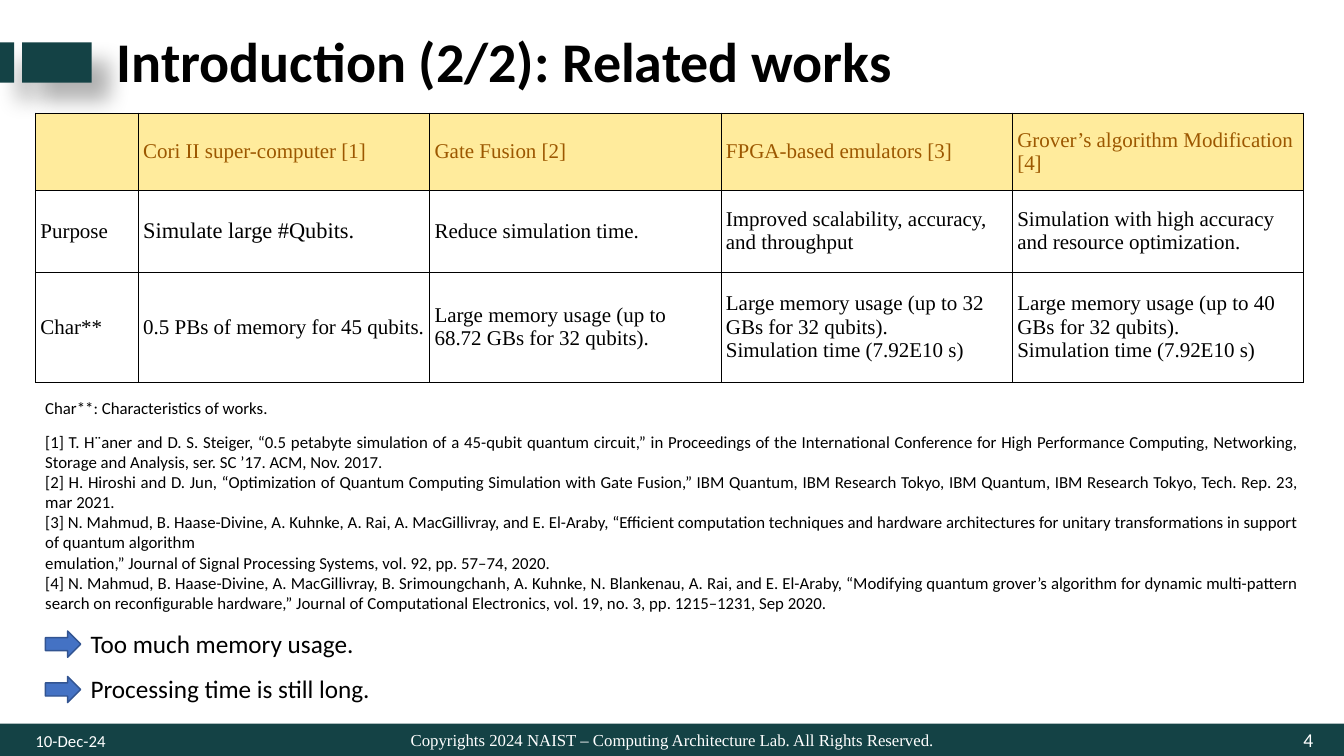
from dataclasses import dataclass, field

from lxml import etree
from pptx import Presentation
from pptx import util as u
from pptx.dml.color import RGBColor
from pptx.enum import shapes, text
from pptx.oxml.ns import qn

W, H = 13.33, 7.5
TEAL, BLUE, NAVY = "144245", "4472C4", "325491"
GOLD, BROWN, BLACK, WHITE = "FFEB9C", "9C5700", "000000", "FFFFFF"
SANS, SERIF = "Calibri", "Times New Roman"
LEFT, CENTER, JUSTIFY = text.PP_ALIGN.LEFT, text.PP_ALIGN.CENTER, text.PP_ALIGN.JUSTIFY
TOP, MIDDLE = text.MSO_ANCHOR.TOP, text.MSO_ANCHOR.MIDDLE
RECT, ARROW = shapes.MSO_SHAPE.RECTANGLE, shapes.MSO_SHAPE.RIGHT_ARROW


@dataclass(frozen=True)
class Box:
    """Left, top, width and height in percent of the slide."""
    x: float
    y: float
    w: float
    h: float

    def emu(self) -> tuple:
        return across(self.x), down(self.y), across(self.w), down(self.h)


@dataclass(frozen=True)
class Label:
    box: Box
    lines: list
    size: float
    color: str = BLACK
    face: str = SANS
    align: int = LEFT
    anchor: int = TOP
    bold: bool = False
    para: dict = field(default_factory=dict)


@dataclass(frozen=True)
class Block:
    box: Box
    fill: str
    kind: int = RECT
    outline: str = ""
    shadow: bool = False


def across(share: float) -> int:
    return u.Inches(W * share / 100)


def down(share: float) -> int:
    return u.Inches(H * share / 100)


def rgb(value: str) -> RGBColor:
    return RGBColor.from_string(value)


def apply(target, values: dict) -> None:
    for name, value in values.items():
        setattr(target, name, value)


def style_text(tf, size: float, color: str, face: str, **para) -> None:
    for p in tf.paragraphs:
        apply(p, para)
        for r in p.runs:
            apply(r.font, {"size": u.Pt(size), "name": face})
            r.font.color.rgb = rgb(color)


def add_label(s, label: Label):
    sp = s.shapes.add_textbox(*label.box.emu())
    tf = sp.text_frame
    apply(tf, {"word_wrap": True, "vertical_anchor": label.anchor, "text": "\n".join(label.lines)})
    style_text(tf, label.size, label.color, label.face, alignment=label.align, **label.para)
    for p in tf.paragraphs:
        for r in p.runs:
            r.font.bold = label.bold
    return sp


def add_shadow(sp) -> None:
    effects = sp.element.spPr.find(qn("a:effectLst"))
    shadow = etree.SubElement(effects, qn("a:outerShdw"), blurRad=str(u.Pt(15)),
                              dist=str(u.Pt(18)), dir=str(45 * 60000), rotWithShape="0")
    color = etree.SubElement(shadow, qn("a:srgbClr"), val=BLACK)
    etree.SubElement(color, qn("a:alpha"), val="30000")


def add_block(s, block: Block):
    sp = s.shapes.add_shape(block.kind, *block.box.emu())
    sp.shadow.inherit = False
    sp.fill.solid()
    sp.fill.fore_color.rgb = rgb(block.fill)
    if block.outline:
        sp.line.color.rgb = rgb(block.outline)
        sp.line.width = u.Pt(1)
    else:
        sp.line.fill.background()
    if block.shadow:
        add_shadow(sp)
    return sp


def add_borders(cell) -> None:
    props = cell._tc.get_or_add_tcPr()
    for i, side in enumerate(("lnL", "lnR", "lnT", "lnB")):
        ln = etree.Element(qn(f"a:{side}"), w=str(u.Pt(0.5)))
        fill = etree.SubElement(ln, qn("a:solidFill"))
        etree.SubElement(fill, qn("a:srgbClr"), val=BLACK)
        props.insert(i, ln)


def add_works_table(s, box: Box, cols: list, rows: list, works: list) -> None:
    table = s.shapes.add_table(len(rows), len(cols), *box.emu()).table
    apply(table, {"first_row": False, "horz_banding": False})
    for column, share in zip(table.columns, cols):
        column.width = across(share)
    for row, share in zip(table.rows, rows):
        row.height = down(share)
    margins = dict.fromkeys(("margin_left", "margin_right", "margin_top", "margin_bottom"),
                            u.Inches(0.05))
    for i, line in enumerate(works):
        for j, words in enumerate(line):
            cell = table.cell(i, j)
            apply(cell, {"text": words, "vertical_anchor": MIDDLE, **margins})
            cell.fill.solid()
            cell.fill.fore_color.rgb = rgb(WHITE if i else GOLD)
            size = 16 if (i, j) == (1, 1) else 15
            style_text(cell.text_frame, size, BLACK if i else BROWN, SERIF)
            add_borders(cell)


WORKS = [
    ["", "Cori II super-computer [1]", "Gate Fusion [2]", "FPGA-based emulators [3]",
     "Grover’s algorithm Modification [4]"],
    ["Purpose", "Simulate large #Qubits.", "Reduce simulation time.",
     "Improved scalability, accuracy, and throughput",
     "Simulation with high accuracy and resource optimization."],
    ["Char**", "0.5 PBs of memory for 45 qubits.",
     "Large memory usage (up to 68.72 GBs for 32 qubits).",
     "Large memory usage (up to 32 GBs for 32 qubits).\nSimulation time (7.92E10 s)",
     "Large memory usage (up to 40 GBs for 32 qubits).\nSimulation time (7.92E10 s)"],
]
REFERENCES = [
    "[1] T. H¨aner and D. S. Steiger, “0.5 petabyte simulation of a 45-qubit quantum circuit,” in "
    "Proceedings of the International Conference for High Performance Computing, Networking, "
    "Storage and Analysis, ser. SC ’17. ACM, Nov. 2017.",
    "[2] H. Hiroshi and D. Jun, “Optimization of Quantum Computing Simulation with Gate Fusion,” "
    "IBM Quantum, IBM Research Tokyo, IBM Quantum, IBM Research Tokyo, Tech. Rep. 23, mar 2021.",
    "[3] N. Mahmud, B. Haase-Divine, A. Kuhnke, A. Rai, A. MacGillivray, and E. El-Araby, "
    "“Efficient computation techniques and hardware architectures for unitary transformations "
    "in support of quantum algorithm",
    "emulation,” Journal of Signal Processing Systems, vol. 92, pp. 57–74, 2020.",
    "[4] N. Mahmud, B. Haase-Divine, A. MacGillivray, B. Srimoungchanh, A. Kuhnke, N. Blankenau, "
    "A. Rai, and E. El-Araby, “Modifying quantum grover’s algorithm for dynamic multi-pattern "
    "search on reconfigurable hardware,” Journal of Computational Electronics, vol. 19, no. 3, "
    "pp. 1215–1231, Sep 2020.",
]
TAKEAWAYS = ["Too much memory usage.", "Processing time is still long."]
BLOCKS = [
    Block(Box(0, 95.73, 100, 4.27), TEAL),
    Block(Box(0, 5.6, 1.05, 5.33), TEAL, shadow=True),
    Block(Box(1.65, 5.6, 5.18, 5.33), TEAL, shadow=True),
]
LABELS = [
    Label(Box(28.66, 95.2, 42.76, 5.33),
          ["Copyrights 2024 NAIST – Computing Architecture Lab. All Rights Reserved."],
          12, WHITE, SERIF, CENTER, MIDDLE),
    Label(Box(7.95, 2.13, 87.1, 12.8), ["Introduction (2/2): Related works"], 40,
          anchor=MIDDLE, bold=True, para={"line_spacing": 0.9}),
    Label(Box(95.95, 95.73, 2.78, 4.27), ["4"], 14, WHITE, SANS, CENTER, MIDDLE),
    Label(Box(0, 96, 10.5, 3.87), ["10-Dec-24"], 12, WHITE, SANS, CENTER, MIDDLE),
    Label(Box(2.63, 52, 84.92, 4), ["Char**: Characteristics of works."], 12),
    Label(Box(2.63, 56.4, 94.82, 25.6), REFERENCES, 12, align=JUSTIFY),
]


def main() -> None:
    prs = Presentation()
    apply(prs, {"slide_width": u.Inches(W), "slide_height": u.Inches(H)})
    s = prs.slides.add_slide(prs.slide_layouts[6])
    for block in BLOCKS:
        add_block(s, block)
    for label in LABELS:
        add_label(s, label)
    for i, words in enumerate(TAKEAWAYS):
        add_label(s, Label(Box(6, 82.4 + 6 * i, 84.92, 5.33), [words], 18))
        add_block(s, Block(Box(3.38, 83.47 + 6 * i, 2.63, 3.47), BLUE, ARROW, NAVY))
    add_works_table(s, Box(2.63, 14.93, 94.37, 35.6), [7.65] + [21.68] * 4,
                    [10.27, 10.8, 14.53], WORKS)
    prs.save("out.pptx")


if __name__ == "__main__":
    main()
